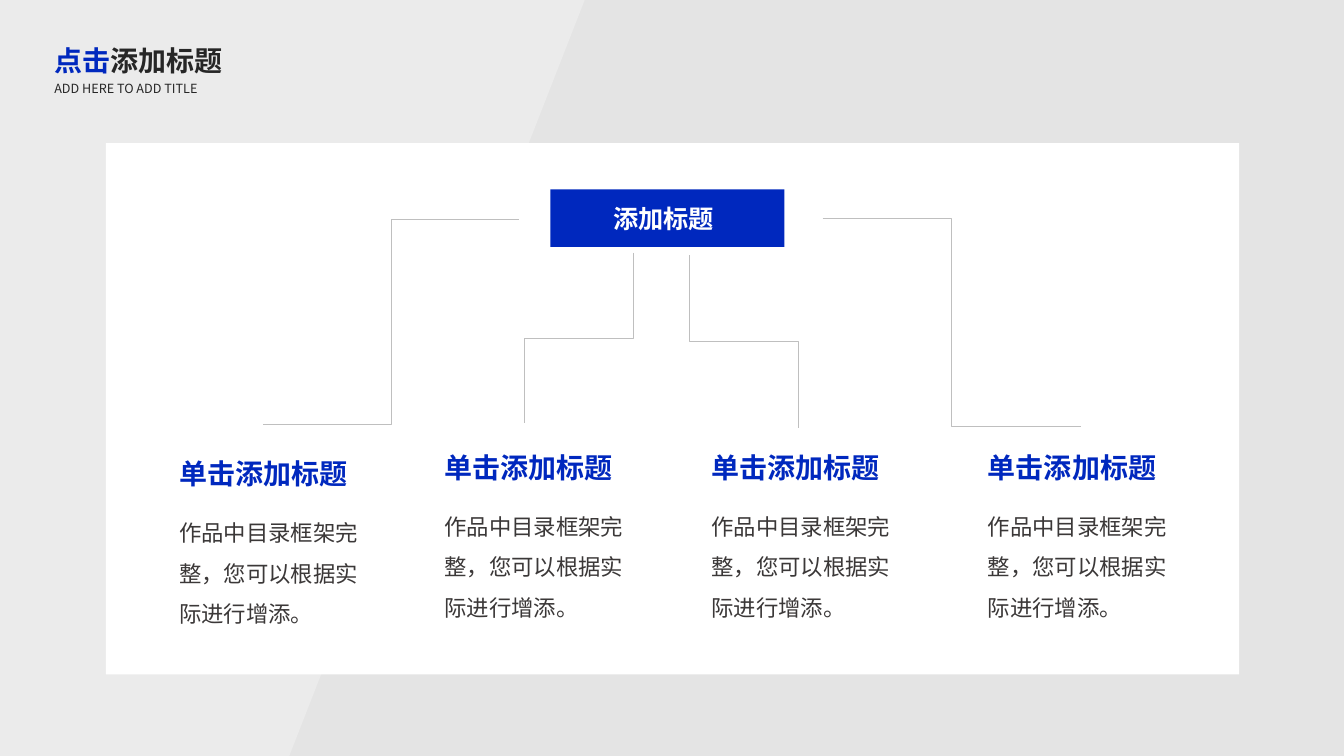
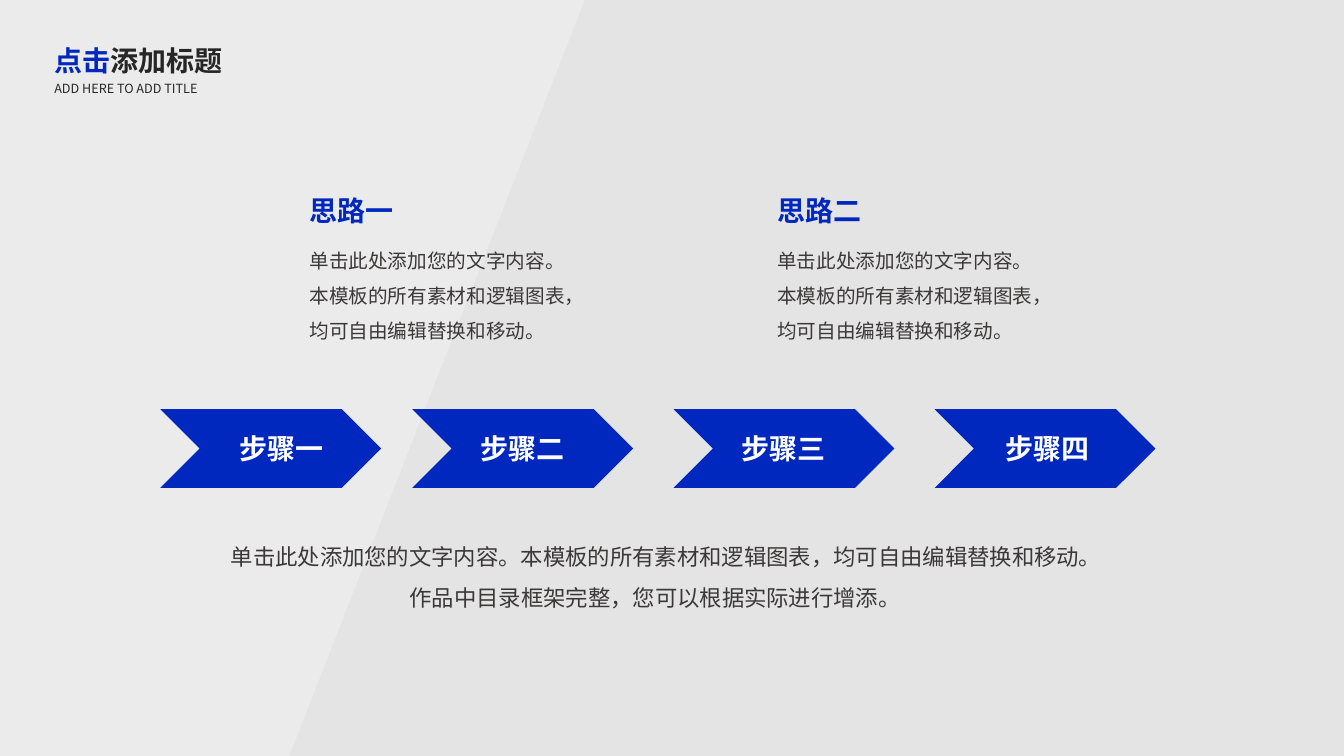
from dataclasses import dataclass

from lxml import etree
from pptx import Presentation
from pptx.dml.color import RGBColor
from pptx.enum.shapes import MSO_CONNECTOR, MSO_SHAPE
from pptx.enum.text import MSO_ANCHOR, MSO_AUTO_SIZE, PP_ALIGN
from pptx.oxml.ns import qn
from pptx.util import Inches, Pt

RECT = MSO_SHAPE.RECTANGLE
CHEVRON = MSO_SHAPE.CHEVRON
ELBOW = MSO_CONNECTOR.ELBOW
LEFT = PP_ALIGN.LEFT
CENTER = PP_ALIGN.CENTER
MIDDLE = MSO_ANCHOR.MIDDLE
GROW = MSO_AUTO_SIZE.SHAPE_TO_FIT_TEXT


@dataclass(frozen=True)
class Theme:
    font: str = "Noto Sans CJK SC"
    back: str = "E4E4E4"
    band: str = "F1F1F1"
    blue: str = "0028BE"
    white: str = "FFFFFF"
    rule: str = "BFBFBF"
    dark: str = "262626"
    body: str = "3B3838"
    head: int = 20
    label: int = 18
    text: int = 16
    note: int = 14
    small: int = 9


def color(code):
    return RGBColor.from_string(code)


def write(frame, text, size=16, ink="000000", font="", bold=False,
          align=LEFT, lead=None):
    parts = [(text, ink)] if isinstance(text, str) else text
    para = frame.paragraphs[0]
    para.alignment = align
    para.line_spacing = lead
    for words, tint in parts:
        run = para.add_run()
        run.text = words
        run.font.size = Pt(size)
        run.font.bold = bold
        run.font.name = font
        run.font.color.rgb = color(tint)
        props = run._r.get_or_add_rPr()
        etree.SubElement(props, qn("a:ea")).set("typeface", font)


class Deck:
    def __init__(self, theme):
        self.theme = theme
        self.prs = Presentation()
        self.prs.slide_width = Inches(13.33)
        self.prs.slide_height = Inches(7.5)
        fill = self.prs.slide_master.background.fill
        fill.solid()
        fill.fore_color.rgb = color(theme.back)
        self.slide = None

    def page(self, title, sub):
        theme = self.theme
        self.slide = self.prs.slides.add_slide(self.prs.slide_layouts[6])
        self.band([(0, 0), (5.8, 0), (2.87, 7.5), (0, 7.5)])
        self.text(0.44, 0.38, 2.01, 0.46, title, size=theme.head, bold=True)
        self.text(0.44, 0.75, 1.85, 0.25, sub, size=theme.small,
                  ink=theme.dark)

    def paint(self, shape, fill):
        shape.shadow.inherit = False
        shape.fill.solid()
        shape.fill.fore_color.rgb = color(fill)
        shape.line.fill.background()

    def band(self, points):
        spots = [(Inches(x), Inches(y)) for x, y in points]
        pen = self.slide.shapes.build_freeform(*spots[0])
        pen.add_line_segments(spots[1:], close=True)
        shape = pen.convert_to_shape()
        self.paint(shape, self.theme.band)
        tint = shape._element.spPr.find(".//" + qn("a:srgbClr"))
        etree.SubElement(tint, qn("a:alpha")).set("val", "54000")

    def text(self, x, y, wide, high, words, **style):
        box = self.slide.shapes.add_textbox(
            Inches(x), Inches(y), Inches(wide), Inches(high))
        frame = box.text_frame
        frame.word_wrap = True
        frame.auto_size = GROW
        write(frame, words, font=self.theme.font, **style)

    def head(self, x, y, wide, words):
        self.text(x, y, wide, 0.44, words, size=self.theme.head,
                  ink=self.theme.blue, bold=True)

    def body(self, x, y, wide, high, words, size, align=LEFT):
        self.text(x, y, wide, high, words, size=size,
                  ink=self.theme.body, align=align, lead=1.5)

    def shape(self, kind, x, y, wide, high, fill):
        shape = self.slide.shapes.add_shape(
            kind, Inches(x), Inches(y), Inches(wide), Inches(high))
        self.paint(shape, fill)
        return shape

    def label(self, kind, x, y, wide, high, words, size, shift=0):
        frame = self.shape(kind, x, y, wide, high, self.theme.blue).text_frame
        frame.word_wrap = True
        frame.vertical_anchor = MIDDLE
        frame.margin_top = frame.margin_bottom = 0
        frame.margin_left = Inches(max(0, 2 * shift))
        frame.margin_right = Inches(max(0, -2 * shift))
        write(frame, words, font=self.theme.font, size=size,
              ink=self.theme.white, bold=True, align=CENTER)

    def elbow(self, start, end, down=False):
        (x1, y1), (x2, y2) = start, end
        if down:
            mid_x, mid_y = (x1 + x2) / 2, (y1 + y2) / 2
            half_x, half_y = (x2 - x1) / 2, (y2 - y1) / 2
            x1, x2 = mid_x - half_y, mid_x + half_y
            y1, y2 = mid_y + half_x, mid_y - half_x
        line = self.slide.shapes.add_connector(
            ELBOW, Inches(x1), Inches(y1), Inches(x2), Inches(y2))
        line.line.color.rgb = color(self.theme.rule)
        line.line.width = Pt(0.5)
        props = line._element.spPr
        if down:
            props.find(qn("a:xfrm")).set("rot", "5400000")
        etree.SubElement(props, qn("a:effectLst"))


def tree(deck):
    theme = deck.theme
    deck.shape(RECT, 1.05, 1.42, 11.24, 5.27, theme.white)
    deck.label(RECT, 5.46, 1.88, 2.32, 0.57, "添加标题", theme.label, -0.04)
    deck.elbow((2.61, 4.21), (5.15, 2.18))
    deck.elbow((6.28, 2.51), (5.2, 4.2), down=True)
    deck.elbow((6.84, 2.53), (7.92, 4.25), down=True)
    deck.elbow((8.16, 2.17), (10.72, 4.23))
    for x, y in [(1.68, 4.48), (4.31, 4.42), (6.96, 4.42), (9.7, 4.42)]:
        deck.head(x, y, 1.97, "单击添加标题")
        deck.body(x, y + 0.49, 1.97, 1.31,
                  "作品中目录框架完整，您可以根据实际进行增添。", theme.text)


def steps(deck):
    theme = deck.theme
    lead = "单击此处添加您的文字内容。本模板的所有素材和逻辑图表，均可自由编辑替换和移动。"
    for x, words in [(2.97, "思路一"), (7.61, "思路二")]:
        deck.head(x, 1.87, 1.89, words)
        deck.body(x, 2.3, 2.78, 1.12, lead, theme.note)
    for x, words, shift in [(1.59, "步骤一", 0.11), (4.09, "步骤二", 0),
                            (6.68, "步骤三", 0), (9.27, "步骤四", 0.02)]:
        deck.label(CHEVRON, x, 4.06, 2.19, 0.78, words, theme.head, shift)
    deck.body(2.09, 5.21, 8.82, 0.86,
              lead + "作品中目录框架完整，您可以根据实际进行增添。",
              theme.text, CENTER)


def main():
    theme = Theme()
    deck = Deck(theme)
    title = [("点击", theme.blue), ("添加标题", theme.dark)]
    for draw in (tree, steps):
        deck.page(title, "ADD HERE TO ADD TITLE")
        draw(deck)
    deck.prs.save("out.pptx")


if __name__ == "__main__":
    main()
